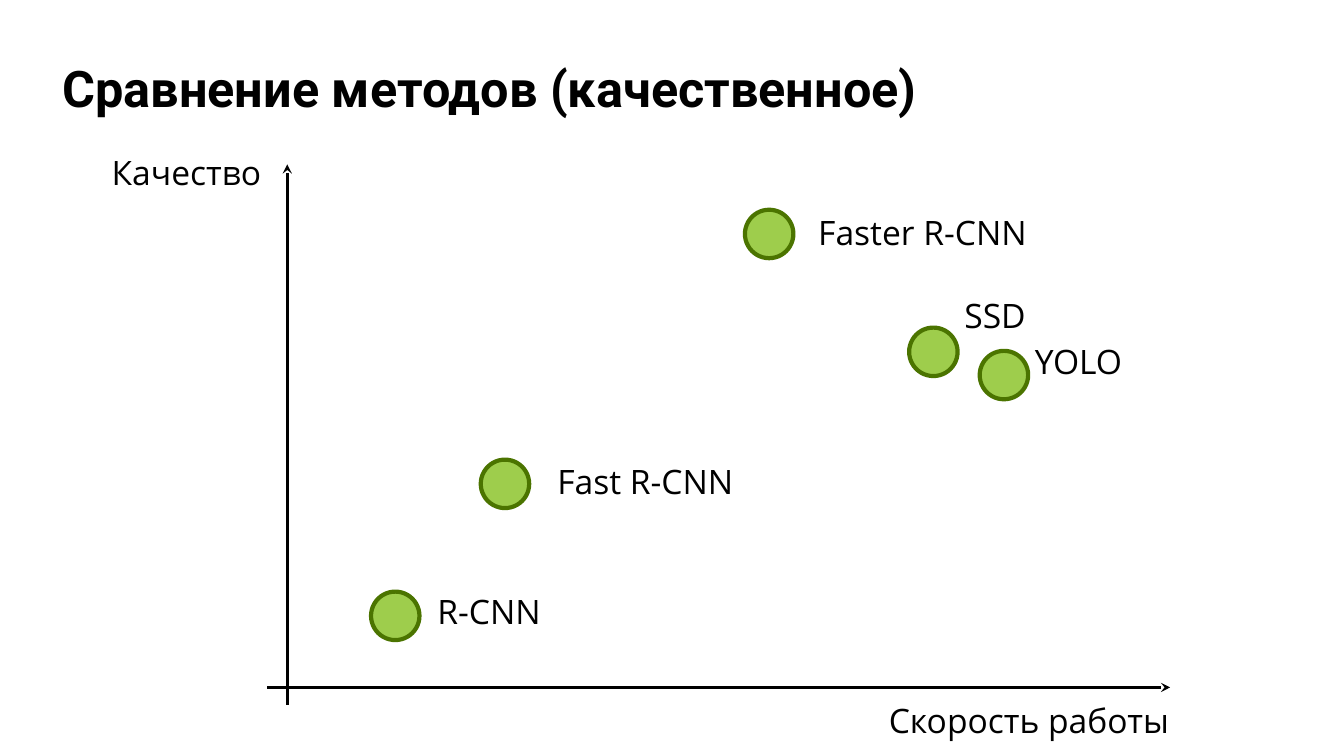
from dataclasses import dataclass

from lxml.etree import SubElement
from pptx import Presentation
from pptx.dml.color import RGBColor
from pptx.enum.shapes import MSO_CONNECTOR, MSO_SHAPE
from pptx.enum.text import MSO_ANCHOR, MSO_AUTO_SIZE, PP_ALIGN
from pptx.oxml.ns import qn
from pptx.slide import Slide
from pptx.text.text import TextFrame
from pptx.util import Pt

BLACK = RGBColor(0x00, 0x00, 0x00)
WHITE = RGBColor(0xFF, 0xFF, 0xFF)
GREEN = RGBColor(0x76, 0xB9, 0x00)
DARK_GREEN = RGBColor(0x4B, 0x74, 0x00)
MARKER_SIZE = 34.6
MARKER_OPACITY = 70
LABEL_HEIGHT = 36


@dataclass(frozen=True)
class Label:
    text: str
    left: float
    top: float
    width: float


@dataclass(frozen=True)
class Method:
    marker_left: float
    marker_top: float
    label: Label


@dataclass(frozen=True)
class Axis:
    start: tuple[float, float]
    end: tuple[float, float]
    label: Label


AXES = [
    Axis((190.8, 491), (835.9, 491), Label("Скорость работы", 627.8, 496.1, 238.3)),
    Axis((205.2, 503.3), (205.2, 117.4), Label("Качество", 72.7, 105.1, 139)),
]
METHODS = [
    Method(265, 422.6, Label("R-CNN", 305.3, 418.3, 139)),
    Method(343.4, 328.3, Label("Fast R-CNN", 391, 325.4, 177.8)),
    Method(649.4, 234, Label("SSD", 681.8, 207.4, 177.8)),
    Method(699.8, 250.6, Label("YOLO", 732.2, 239.8, 177.8)),
    Method(532.1, 149.8, Label("Faster R-CNN", 577.4, 147.6, 177.8)),
]


def write_text(frame: TextFrame, text: str, *, font: str = "Open Sans", size: float = 24,
               bold: bool = False, anchor: MSO_ANCHOR = MSO_ANCHOR.TOP,
               line_spacing: float = 1.0) -> None:
    frame.word_wrap = True
    frame.vertical_anchor = anchor
    para = frame.paragraphs[0]
    para.alignment = PP_ALIGN.LEFT
    para.line_spacing = line_spacing
    span = para.add_run()
    span.text = text
    span.font.name = font
    span.font.size = Pt(size)
    span.font.bold = bold
    span.font.color.rgb = BLACK


def add_title(page: Slide, text: str) -> None:
    title = page.shapes.title
    title.left, title.top, title.width, title.height = Pt(37.4), Pt(39.6), Pt(913.7), Pt(51.8)
    title.text_frame.auto_size = MSO_AUTO_SIZE.NONE
    write_text(title.text_frame, text, font="Roboto", size=36, bold=True,
               anchor=MSO_ANCHOR.MIDDLE, line_spacing=0.9)


def add_label(page: Slide, label: Label) -> None:
    box = page.shapes.add_textbox(Pt(label.left), Pt(label.top), Pt(label.width), Pt(LABEL_HEIGHT))
    box.text_frame.auto_size = MSO_AUTO_SIZE.SHAPE_TO_FIT_TEXT
    write_text(box.text_frame, label.text)


def add_axis(page: Slide, axis: Axis) -> None:
    arrow = page.shapes.add_connector(
        MSO_CONNECTOR.STRAIGHT, *(Pt(value) for value in axis.start + axis.end))
    arrow.line.color.rgb = BLACK
    arrow.line.width = Pt(2.25)
    SubElement(arrow.line._get_or_add_ln(), qn("a:tailEnd"), type="stealth")
    SubElement(arrow._element.spPr, qn("a:effectLst"))
    add_label(page, axis.label)


def add_method(page: Slide, method: Method) -> None:
    marker = page.shapes.add_shape(MSO_SHAPE.OVAL, Pt(method.marker_left), Pt(method.marker_top),
                                   Pt(MARKER_SIZE), Pt(MARKER_SIZE))
    marker.shadow.inherit = False
    marker.fill.solid()
    marker.fill.fore_color.rgb = GREEN
    color = marker._element.spPr.find(qn("a:solidFill")).find(qn("a:srgbClr"))
    SubElement(color, qn("a:alpha"), val=str(MARKER_OPACITY * 1000))
    marker.line.color.rgb = DARK_GREEN
    marker.line.width = Pt(3)
    add_label(page, method.label)


def main() -> None:
    deck = Presentation()
    deck.slide_width, deck.slide_height = Pt(960), Pt(540)
    page = deck.slides.add_slide(deck.slide_layouts.get_by_name("Title Only"))
    page.background.fill.solid()
    page.background.fill.fore_color.rgb = WHITE
    add_title(page, "Сравнение методов (качественное)")
    for axis in AXES:
        add_axis(page, axis)
    for method in METHODS:
        add_method(page, method)
    deck.save("out.pptx")


if __name__ == "__main__":
    main()
